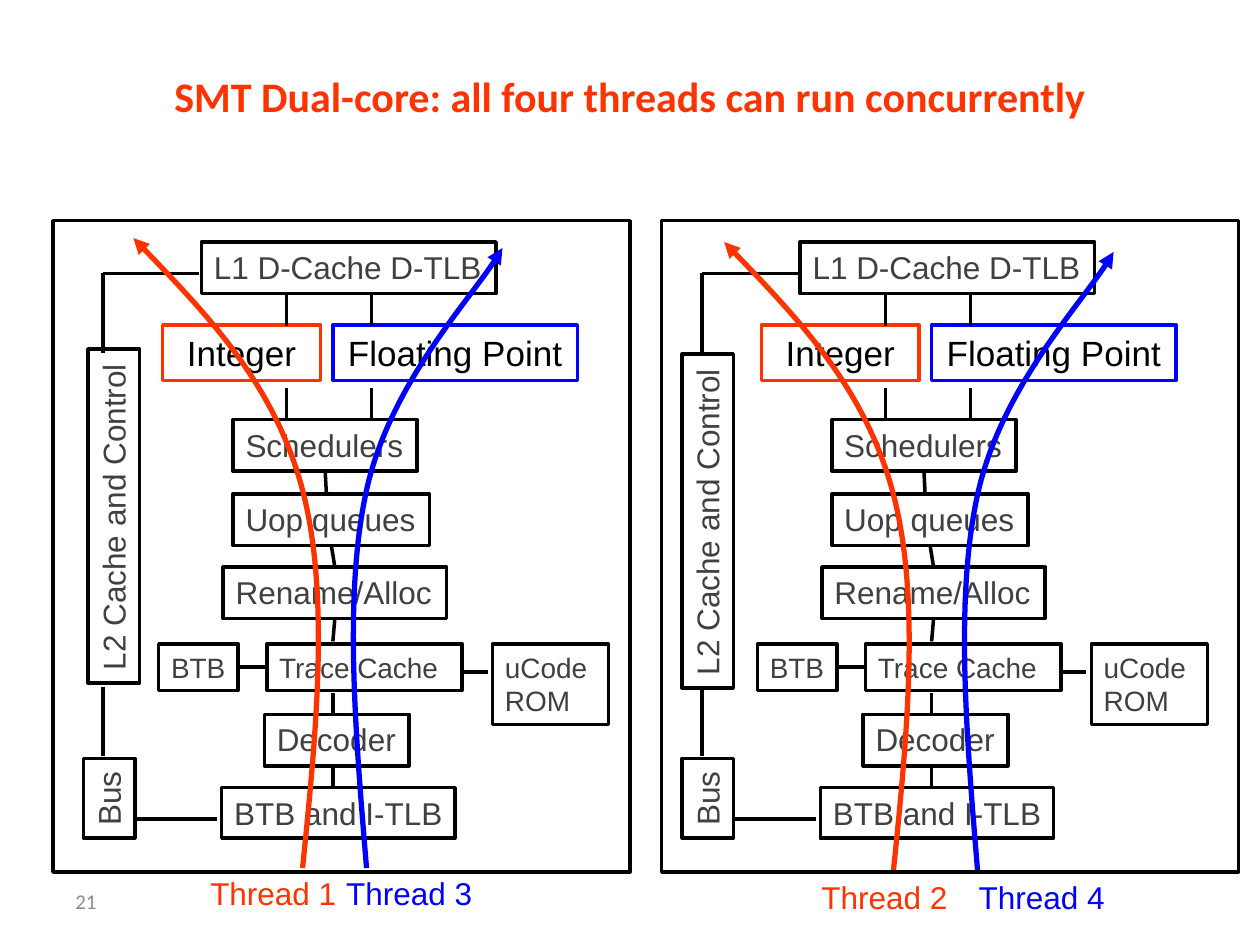
from dataclasses import dataclass
from typing import Optional

from lxml.etree import SubElement
from pptx import Presentation
from pptx.dml.color import RGBColor
from pptx.enum.shapes import MSO_CONNECTOR, MSO_SHAPE
from pptx.enum.text import MSO_ANCHOR, MSO_AUTO_SIZE, PP_ALIGN
from pptx.oxml.ns import qn
from pptx.util import Cm, Pt

HUES = {"black": "000000", "text": "404040", "red": "FF3300",
        "blue": "0000FF", "grey": "8C8C8C"}
BOTTOM, LEFT, RIGHT, TOP = 2, 1, 3, 0
STEP = 12.07  # from the first core to the second


@dataclass
class Box:
    text: str
    x: float
    y: float
    w: float
    h: float
    size: int = 18
    line: str = "black"
    hue: str = "text"
    wrap: bool = False
    mid: bool = False
    turn: int = 0


@dataclass
class Wire:
    x1: float
    y1: float
    x2: float
    y2: float
    start: Optional[tuple[str, int]] = None
    end: Optional[tuple[str, int]] = None


@dataclass
class Thread:
    label: str
    hue: str
    x: float
    y: float
    dx: float
    dy: float


UNITS = [
    Box("BTB and I-TLB", 4.47, 15.88, 4.7, 1.02),
    Box("Decoder", 5.33, 14.4, 2.92, 1.04),
    Box("Trace Cache", 5.38, 12.98, 3.94, 0.94, 16, wrap=True),
    Box("Rename/Alloc", 4.5, 11.43, 4.5, 1.04),
    Box("Uop queues", 4.7, 9.96, 3.96, 1.04),
    Box("Schedulers", 4.7, 8.46, 3.71, 1.04),
    Box("Integer", 3.28, 6.55, 3.18, 1.12, 20, "red", "black", True, True),
    Box("Floating Point", 6.71, 6.55, 4.93, 1.12, 20, "blue", "black", True, True),
    Box("L1 D-Cache D-TLB", 4.06, 4.88, 5.94, 1.04),
    Box("uCode\vROM", 9.93, 12.98, 2.34, 1.63, 16, wrap=True),
    Box("BTB", 3.2, 12.98, 1.6, 0.94, 16),
    Box("Bus", 1.4, 15.57, 1.6, 1.04, turn=270),
]
CACHES = [Box("L2 Cache and Control", x, y, 6.73, 1.04, turn=270)
          for x, y in ((-1.07, 9.88), (10.9, 9.98))]

WIRES = [
    Wire(2.74, 16.51, 4.37, 16.51),
    Wire(2.08, 13.84, 2.08, 15.24),
    Wire(6.71, 15.88, 6.71, 15.44),
    Wire(6.71, 14.4, 6.71, 13.97),
    Wire(4.8, 13.45, 5.38, 13.45, ("BTB", RIGHT), ("Trace Cache", LEFT)),
    Wire(9.3, 13.55, 9.83, 13.55),
    Wire(6.71, 12.93, 6.71, 12.47, end=("Rename/Alloc", BOTTOM)),
    Wire(6.71, 11.43, 6.71, 11, ("Rename/Alloc", TOP), ("Uop queues", BOTTOM)),
    Wire(6.58, 9.96, 6.58, 9.5, end=("Schedulers", BOTTOM)),
    *(Wire(x, y, x, y - 0.66) for y in (8.48, 6.58) for x in (5.78, 7.49)),
    Wire(2.08, 5.51, 4.01, 5.51),
    Wire(2.08, 5.51, 2.08, 7.11),
]

CURVES = {
    "red": [(6.1, 17.5), (6.38, 14.75), (6.65, 11.99), (6.1, 9.88),
            (5.54, 7.77), (4.11, 6.27), (2.69, 4.8)],
    "blue": [(7.39, 17.5), (7.16, 14.73), (6.93, 11.96), (7.39, 9.88),
             (7.85, 7.8), (9.68, 5.82), (10.13, 5)],
}
THREADS = [
    Thread("Thread 1", "red", 3.99, 17.5, 0, 0),
    Thread("Thread 3", "blue", 6.73, 17.5, 0, 0),
    Thread("Thread 2", "red", 16.31, 17.58, 11.91, 0.08),
    Thread("Thread 4", "blue", 19.48, 17.58, 12.32, 0.08),
]


def tint(name: str) -> RGBColor:
    return RGBColor.from_string(HUES[name])


def stroke(item, hue: str, width: float) -> None:
    item.line.color.rgb = tint(hue)
    item.line.width = Pt(width)


def write(item, text: str, size: int, hue: str, face: str = "Arial",
          mid: bool = False, wrap: bool = False, bold: bool = False):
    frame = item.text_frame
    frame.text = text
    frame.word_wrap = wrap
    frame.vertical_anchor = MSO_ANCHOR.TOP
    para = frame.paragraphs[0]
    para.alignment = PP_ALIGN.CENTER if mid else PP_ALIGN.LEFT
    font = para.font
    font.name, font.size, font.bold = face, Pt(size), bold
    font.color.rgb = tint(hue)
    return frame


def outline(shapes, x: float, y: float, w: float, h: float, hue: str = "black"):
    """Add an unfilled rectangle."""
    rect = shapes.add_shape(MSO_SHAPE.RECTANGLE, Cm(x), Cm(y), Cm(w), Cm(h))
    rect.shadow.inherit = False
    rect.fill.background()
    stroke(rect, hue, 2)
    return rect


def draw_box(shapes, box: Box, dx: float = 0):
    rect = outline(shapes, box.x + dx, box.y, box.w, box.h, box.line)
    rect.rotation = box.turn
    frame = write(rect, box.text, box.size, box.hue, mid=box.mid, wrap=box.wrap)
    frame.auto_size = MSO_AUTO_SIZE.SHAPE_TO_FIT_TEXT
    return rect


def draw_wire(shapes, wire: Wire, dx: float, parts: dict) -> None:
    link = shapes.add_connector(MSO_CONNECTOR.STRAIGHT, Cm(wire.x1 + dx), Cm(wire.y1),
                                Cm(wire.x2 + dx), Cm(wire.y2))
    if wire.start:
        link.begin_connect(parts[wire.start[0]], wire.start[1])
    if wire.end:
        link.end_connect(parts[wire.end[0]], wire.end[1])
    stroke(link, "black", 2)
    SubElement(link._element.spPr, qn("a:effectLst"))


def draw_curve(shapes, thread: Thread) -> None:
    """Lay straight segments through the control points, then bend each three."""
    dots = [(Cm(x + thread.dx), Cm(y + thread.dy)) for x, y in CURVES[thread.hue]]
    pen = shapes.build_freeform(*dots[0])
    pen.add_line_segments(dots[1:], close=False)
    curve = pen.convert_to_shape()
    curve.shadow.inherit = False
    curve.fill.background()
    stroke(curve, thread.hue, 3)
    SubElement(curve.line._get_or_add_ln(), qn("a:tailEnd"), type="triangle")
    route = curve._element.find(".//" + qn("a:path"))
    legs = route.findall(qn("a:lnTo"))
    for i in range(0, len(legs), 3):
        bend = SubElement(route, qn("a:cubicBezTo"))
        for leg in legs[i:i + 3]:
            bend.append(leg[0])
            route.remove(leg)


def add_text(shapes, x: float, y: float, w: float, h: float):
    return shapes.add_textbox(Cm(x), Cm(y), Cm(w), Cm(h))


def main() -> None:
    deck = Presentation()
    deck.slide_width, deck.slide_height = Cm(25.4), Cm(19.05)
    shapes = deck.slides.add_slide(deck.slide_layouts[6]).shapes

    page = write(add_text(shapes, 1.27, 17.65, 5.92, 1.02), "21", 12, "grey",
                 "Calibri", wrap=True)
    title = write(add_text(shapes, 1.9, 1.07, 21.6, 1.7),
                  "SMT Dual-core: all four threads can run concurrently",
                  24, "red", "Calibri", mid=True, wrap=True, bold=True)
    for frame in (page, title):
        frame.vertical_anchor = MSO_ANCHOR.MIDDLE

    for core, cache in enumerate(CACHES):
        dx = core * STEP
        parts = {unit.text: draw_box(shapes, unit, dx) for unit in UNITS}
        draw_box(shapes, cache)
        for wire in WIRES:
            draw_wire(shapes, wire, dx, parts)

    for thread in THREADS:
        draw_curve(shapes, thread)
    for thread in THREADS:
        label = add_text(shapes, thread.x, thread.y, 3.05, 1.02)
        frame = write(label, thread.label, 18, thread.hue)
        frame.auto_size = MSO_AUTO_SIZE.SHAPE_TO_FIT_TEXT
    for x in (1.07, 13.34):
        outline(shapes, x, 4.45, 11.63, 13.13)

    deck.save("out.pptx")


if __name__ == "__main__":
    main()
